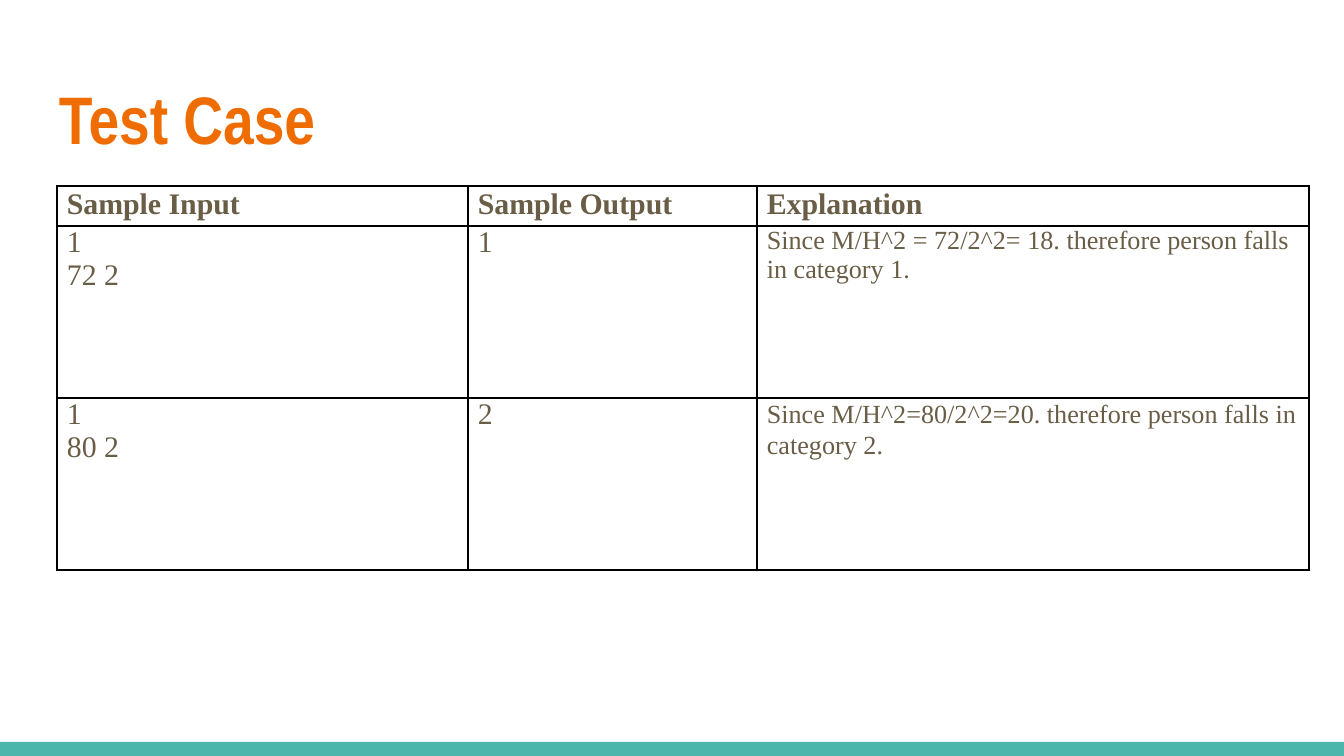
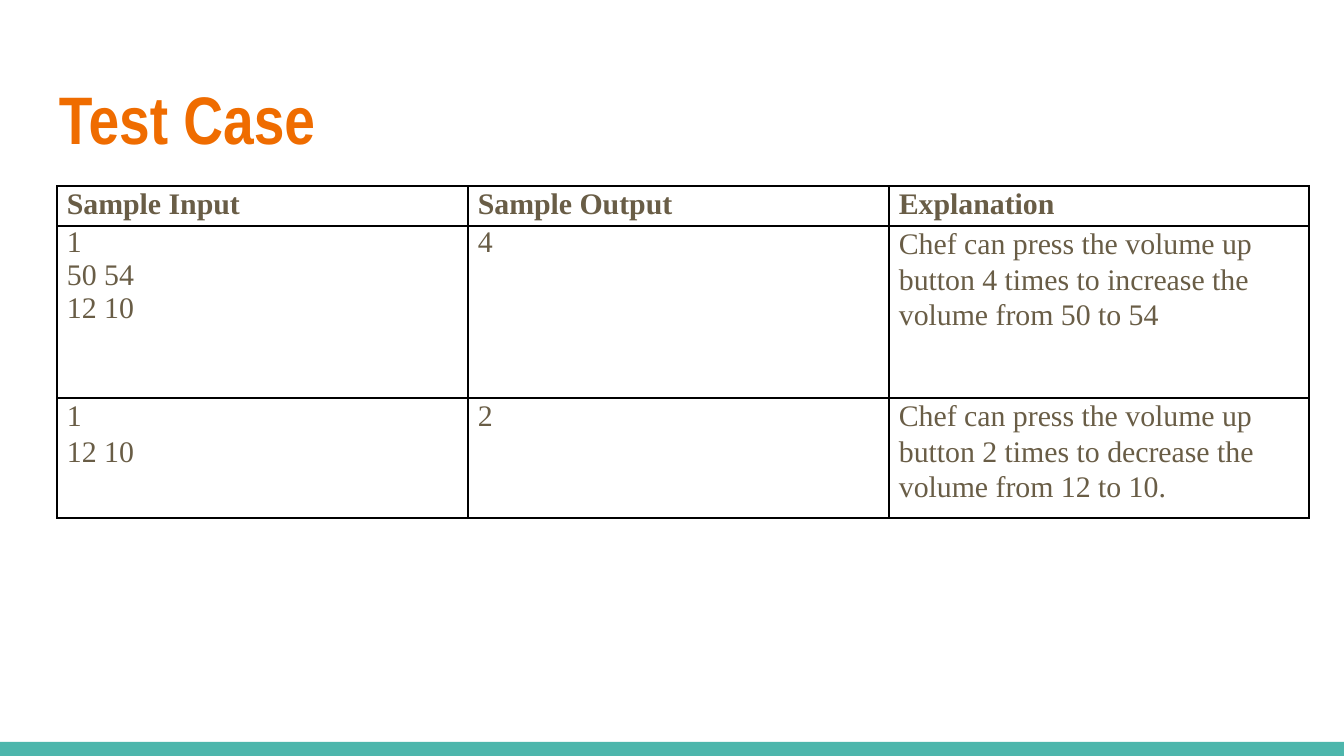
from dataclasses import dataclass

from lxml import etree
from pptx import Presentation
from pptx.dml.color import RGBColor
from pptx.enum.shapes import MSO_SHAPE
from pptx.enum.text import MSO_ANCHOR
from pptx.oxml.ns import qn
from pptx.util import Pt

RECT = MSO_SHAPE.RECTANGLE
MIDDLE = MSO_ANCHOR.MIDDLE
PX = 914400 / 134.4


@dataclass(frozen=True)
class Theme:
    title: RGBColor = RGBColor.from_string("EF6C00")
    body: RGBColor = RGBColor.from_string("695D46")
    band: RGBColor = RGBColor.from_string("4DB6AC")
    border: str = "000000"
    title_font: str = "Arial Narrow"
    body_font: str = "Times New Roman"
    title_size: int = 36
    body_size: int = 16
    small_size: int = 14


T = Theme()
LOOSE = 1.07
HEADER = [(name, T.body_size, LOOSE) for name in ("Sample Input", "Sample Output", "Explanation")]

SLIDES = [
    {
        "cols": [411, 289, 552],
        "rows": [40, 172, 172],
        "cells": [
            [
                ("1\n72 2", T.body_size, 1.0),
                ("1", T.body_size, 1.0),
                ("Since M/H^2 = 72/2^2= 18. therefore person falls in category 1.", T.small_size, 1.0),
            ],
            [
                ("1\n80 2", T.body_size, 1.0),
                ("2", T.body_size, 1.0),
                ("Since M/H^2=80/2^2=20. therefore person falls in category 2.", T.small_size, LOOSE),
            ],
        ],
    },
    {
        "cols": [411, 421, 420],
        "rows": [40, 172, 120],
        "cells": [
            [
                ("1\n50 54\n12 10", T.body_size, 1.0),
                ("4", T.body_size, 1.0),
                ("Chef can press the volume up button 4 times to increase the volume from 50 to 54", T.body_size, LOOSE),
            ],
            [
                ("1\n12 10", T.body_size, LOOSE),
                ("2", T.body_size, LOOSE),
                ("Chef can press the volume up button 2 times to decrease the volume from 12 to 10.", T.body_size, LOOSE),
            ],
        ],
    },
]


def px(*values):
    return [round(v * PX) for v in values]


def add_run(p, text, font, size, color, bold):
    r = p.add_run()
    r.text = text
    r.font.name = font
    r.font.size = Pt(size)
    r.font.color.rgb = color
    r.font.bold = bold


prs = Presentation()
prs.slide_width, prs.slide_height = px(1344, 756)

for data in SLIDES:
    s = prs.slides.add_slide(prs.slide_layouts[6])

    band = s.shapes.add_shape(RECT, *px(0, 742, 1344, 14))
    band.shadow.inherit = False
    band.fill.solid()
    band.fill.fore_color.rgb = T.band
    band.line.fill.background()

    sp = s.shapes.add_textbox(*px(46, 66, 1252, 103))
    tf = sp.text_frame
    tf.word_wrap = True
    tf.vertical_anchor = MIDDLE
    tf.margin_left, tf.margin_top, tf.margin_right, tf.margin_bottom = px(13, 13, 13, 13)
    add_run(tf.paragraphs[0], "Test Case", T.title_font, T.title_size, T.title, True)

    cols, rows = data["cols"], data["rows"]
    frame = s.shapes.add_table(len(rows), len(cols), *px(57, 186, sum(cols), sum(rows)))
    table = frame.table
    table.first_row = False
    table.horz_banding = False
    for col, width in zip(table.columns, px(*cols)):
        col.width = width
    for row, height in zip(table.rows, px(*rows)):
        row.height = height

    for i, values in enumerate([HEADER] + data["cells"]):
        for j, (text, size, spacing) in enumerate(values):
            cell = table.cell(i, j)
            cell.margin_left, cell.margin_top, cell.margin_right, cell.margin_bottom = px(10, 0, 10, 0)
            tf = cell.text_frame
            for n, line in enumerate(text.split("\n")):
                p = tf.add_paragraph() if n else tf.paragraphs[0]
                p.line_spacing = spacing
                add_run(p, line, T.body_font, size, T.body, i == 0)
            tcPr = cell._tc.get_or_add_tcPr()
            for side in ("a:lnL", "a:lnR", "a:lnT", "a:lnB"):
                ln = etree.SubElement(tcPr, qn(side), w=str(Pt(1)))
                fill = etree.SubElement(ln, qn("a:solidFill"))
                etree.SubElement(fill, qn("a:srgbClr"), val=T.border)
            cell.fill.background()

prs.save("out.pptx")
